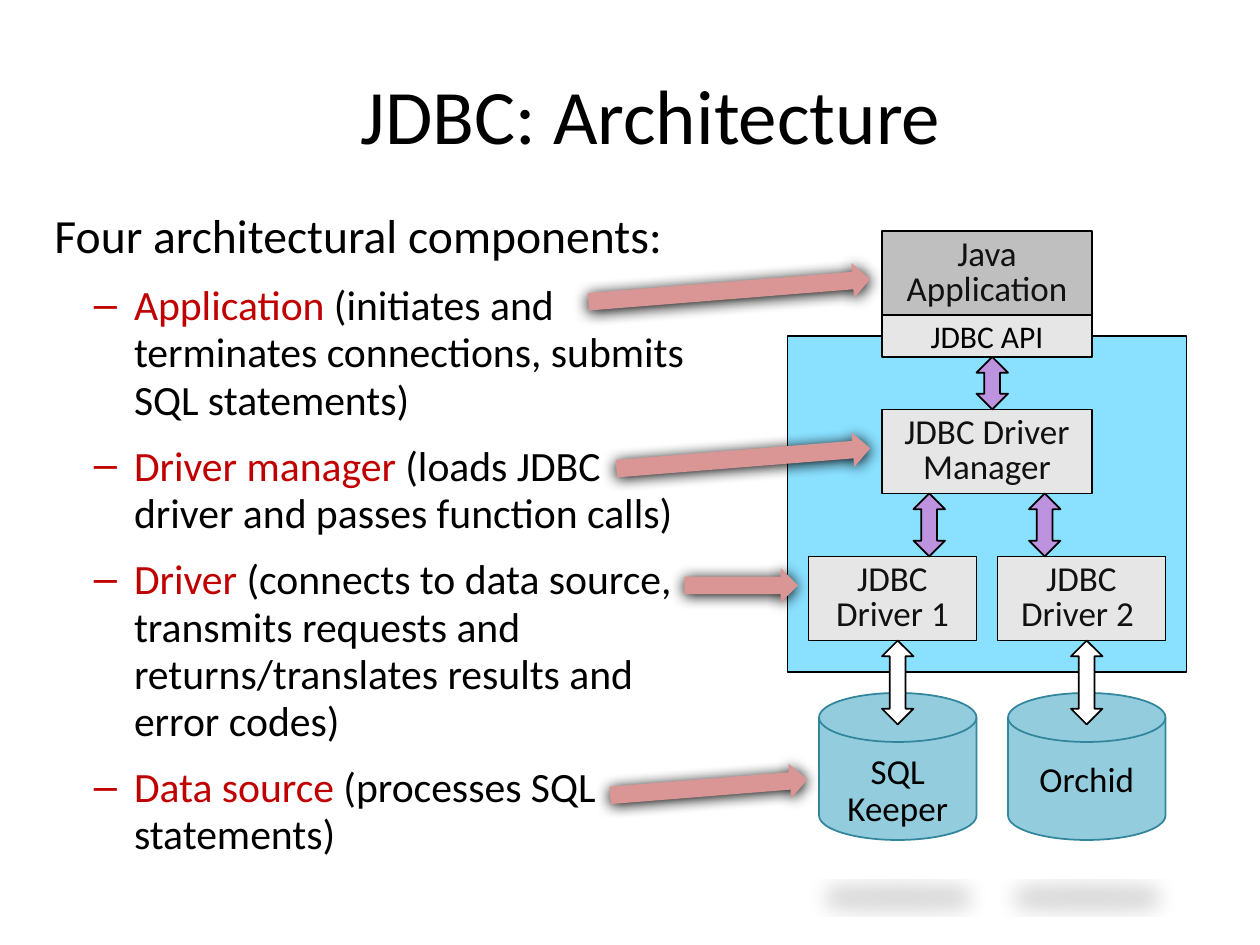
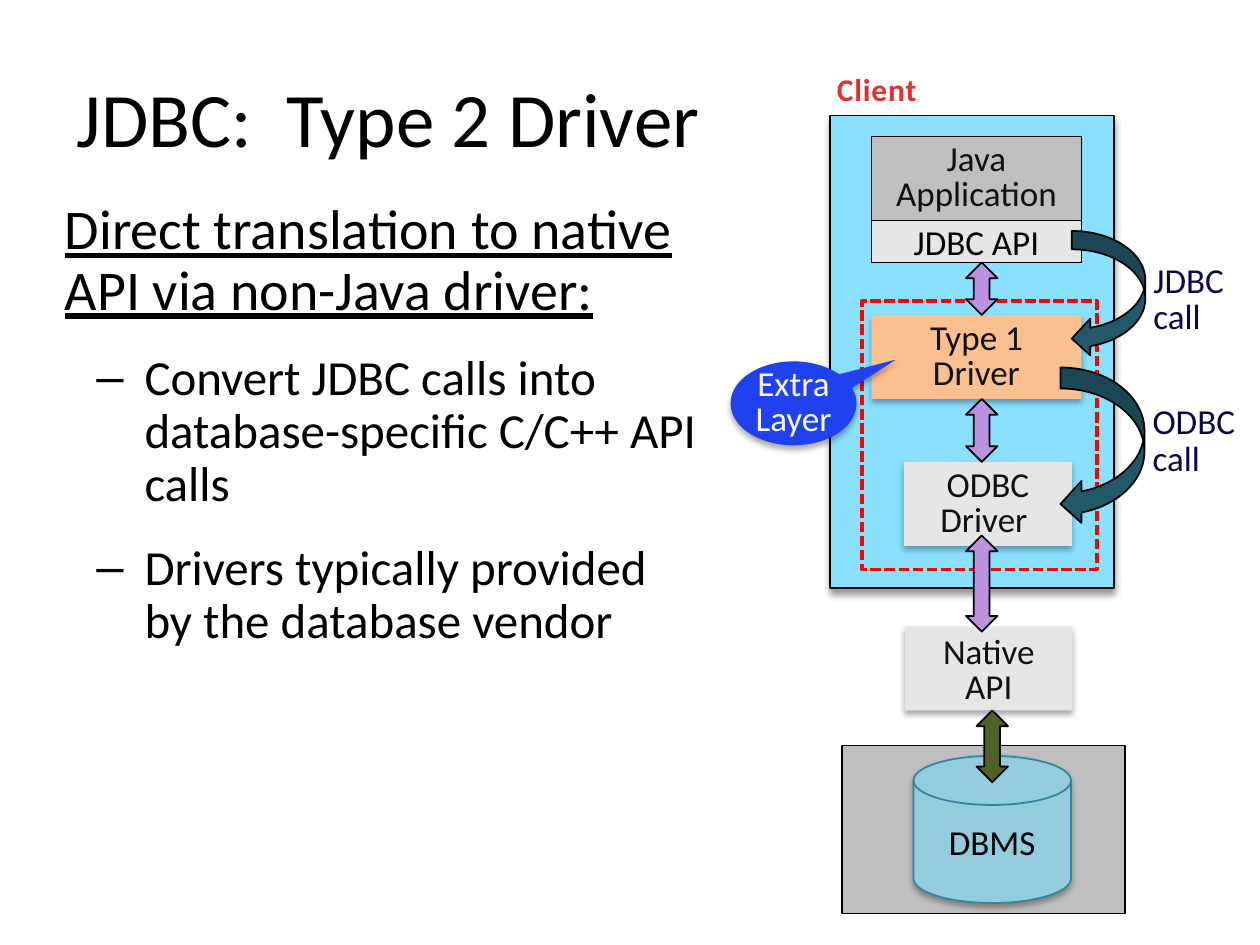
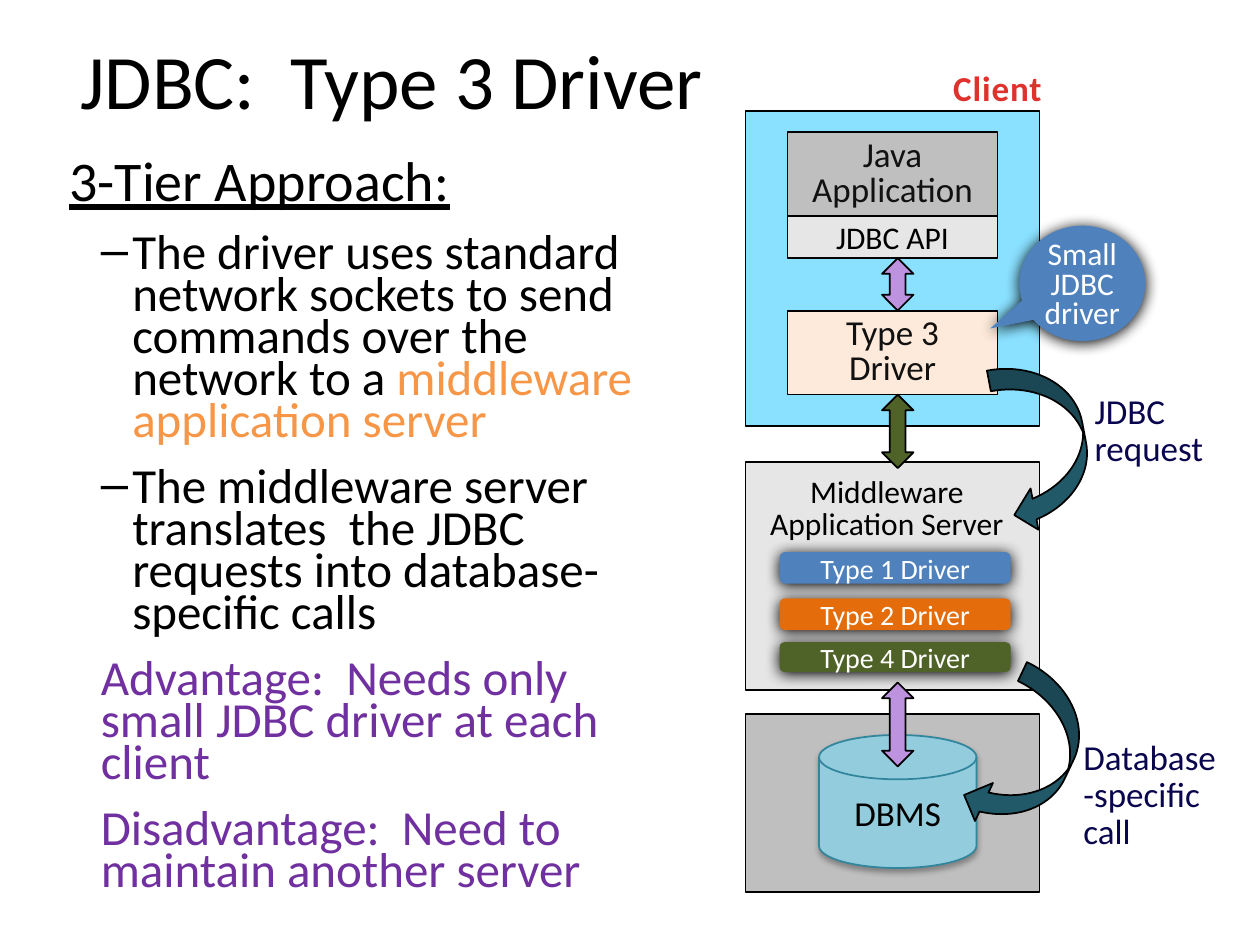
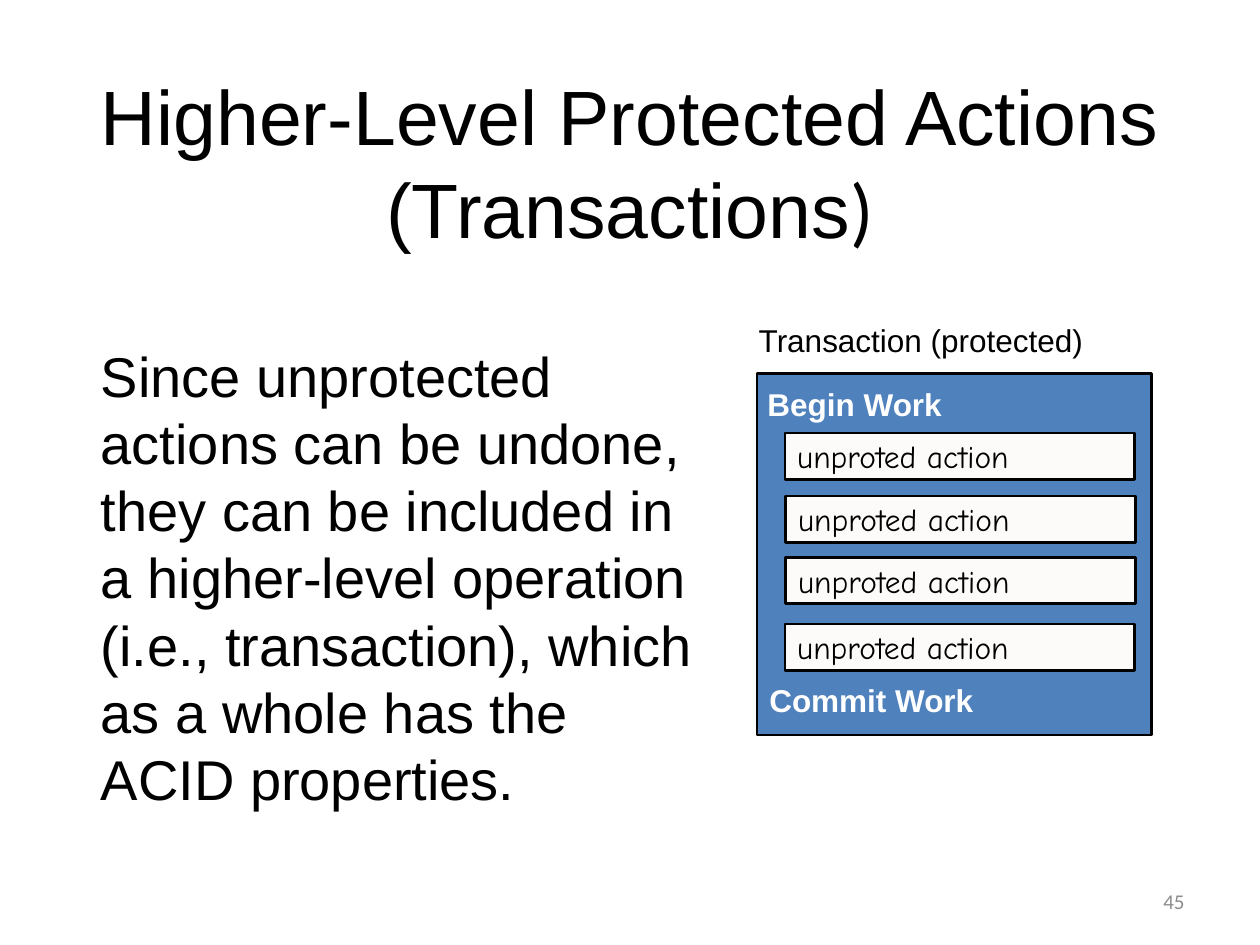
from pptx import Presentation
from pptx.dml.color import RGBColor
from pptx.enum import dml, shapes, text
from pptx.oxml import parse_xml
from pptx.oxml.ns import nsdecls, qn
from pptx.util import Pt

KIND = shapes.MSO_SHAPE
ALIGN = text.PP_ALIGN
ANCHOR = text.MSO_ANCHOR

BLACK, WHITE, INK = "000000", "FFFFFF", "111111"
SKY, SILVER, PALE = "89E0FF", "BFBFBF", "E6E6E6"
LILAC, OLIVE, TEAL = "BD92DE", "4F6228", "215968"
DISK, DISK_EDGE = "93CDDD", "31859C"
ROSE, CRIMSON, CLIENT_RED = "D99694", "C00000", "E0322D"
NAVY, BLUE, ORANGE, PURPLE = "09064E", "4F81BD", "F79646", "7030A0"

# Shadows: opacity in percent, blur and distance in points, extra scaling
SOFT = (32, 3.5, 2.2, {})
PANEL = (40, 4, 3, {})
GLOW = (100, 8.5, 1, {})
FLOOR = (15, 12, 25, {"sx": 90000, "sy": -19000})


def rgb(value):
    return RGBColor.from_string(value)


def place(at):
    return [Pt(length) for length in at]


def cast_shadow(shape, shadow):
    opacity, blur, distance, scaling = shadow
    scale = " ".join(f'{key}="{value}"' for key, value in scaling.items())
    effect = parse_xml(
        f'<a:outerShdw {nsdecls("a")} blurRad="{Pt(blur)}" dist="{Pt(distance)}" '
        f'dir="5400000" {scale} rotWithShape="0"><a:srgbClr val="{BLACK}">'
        f'<a:alpha val="{opacity * 1000}"/></a:srgbClr></a:outerShdw>')
    shape._element.spPr.find(qn("a:effectLst")).append(effect)


def add_figure(slide, kind, at, fill=None, line=BLACK, weight=1, shadow=None, turn=0):
    figure = slide.shapes.add_shape(kind, *place(at))
    figure.shadow.inherit = False
    figure.rotation = turn
    if fill:
        figure.fill.solid()
        figure.fill.fore_color.rgb = rgb(fill)
    else:
        figure.fill.background()
    if line:
        figure.line.color.rgb = rgb(line)
        figure.line.width = Pt(weight)
    else:
        figure.line.fill.background()
    if shadow:
        cast_shadow(figure, shadow)
    return figure


def add_paragraph(frame, runs, size, colour=BLACK, font="Calibri", align=ALIGN.LEFT,
                  leading=None, before=0, after=0, bold=False, underline=False):
    """Write runs, given as a string or as (words, colour) pairs; leading is points or a factor."""
    paragraph = frame.paragraphs[0]
    if paragraph.runs:
        paragraph = frame.add_paragraph()
    paragraph.alignment = align
    paragraph.space_before = Pt(before)
    paragraph.space_after = Pt(after)
    if leading:
        paragraph.line_spacing = Pt(leading) if leading > 3 else leading
    for words, run_colour in [(runs, colour)] if isinstance(runs, str) else runs:
        run = paragraph.add_run()
        run.text = words
        run.font.name = font
        run.font.size = Pt(size)
        run.font.bold = bold
        run.font.underline = underline
        run.font.color.rgb = rgb(run_colour)
    return paragraph


def write_inside(figure, words, size=20, colour=INK, leading=20, align=ALIGN.CENTER,
                 anchor=ANCHOR.MIDDLE, font="Calibri"):
    frame = figure.text_frame
    frame.word_wrap = True
    frame.vertical_anchor = anchor
    add_paragraph(frame, words, size, colour, font, align, leading)
    return frame


def add_frame(slide, at, anchor=ANCHOR.TOP, wrap=True):
    frame = slide.shapes.add_textbox(*place(at)).text_frame
    frame.word_wrap = wrap
    frame.vertical_anchor = anchor
    return frame


def add_label(slide, at, words, size=20, colour=NAVY, wrap=True, **style):
    frame = add_frame(slide, at, wrap=wrap)
    frame.auto_size = text.MSO_AUTO_SIZE.SHAPE_TO_FIT_TEXT
    return add_paragraph(frame, words, size, colour, **style)


def add_title(slide, at, runs, font="Calibri"):
    frame = add_frame(slide, at, ANCHOR.MIDDLE)
    title = add_paragraph(frame, runs, 44, font=font, align=ALIGN.CENTER)
    return title


def add_body_line(frame, runs, size, indent=(0, 0), bullet=False, **style):
    """Add body text with a left margin, a first-line offset and an optional dash."""
    paragraph = add_paragraph(frame, runs, size, before=0.2 * size, **style)
    properties = paragraph._p.get_or_add_pPr()
    margin, offset = indent
    properties.set("marL", str(Pt(margin)))
    properties.set("indent", str(Pt(offset)))
    if bullet:
        properties.append(parse_xml(f'<a:buFont {nsdecls("a")} typeface="Arial"/>'))
        properties.append(parse_xml(f'<a:buChar {nsdecls("a")} char="–"/>'))


def add_box(slide, at, words, fill=PALE, line=BLACK, shadow=None):
    box = add_figure(slide, KIND.RECTANGLE, at, fill, line, shadow=shadow)
    return write_inside(box, words)


def add_application(slide, left, top, api_size=18):
    """Stack the Java application on its JDBC API."""
    add_box(slide, (left, top, 120, 48), "Java Application", SILVER)
    api = add_figure(slide, KIND.RECTANGLE, (left, top + 48, 120, 24), PALE)
    write_inside(api, "JDBC API", api_size, BLACK, leading=None)


def add_database(slide, at, name, shadow=SOFT, leading=None, anchor=ANCHOR.MIDDLE):
    disk = add_figure(slide, KIND.FLOWCHART_MAGNETIC_DISK, at, DISK, DISK_EDGE, shadow=shadow)
    return write_inside(disk, name, colour=BLACK, leading=leading, anchor=anchor)


def add_link(slide, left, top, height, fill=LILAC):
    add_figure(slide, KIND.UP_DOWN_ARROW, (left, top, 18, height), fill)


def add_call(slide, at, turn=0):
    add_figure(slide, KIND.CURVED_LEFT_ARROW, at, TEAL, turn=turn)


def add_callout(slide, at, tip, words, fill, shadow, size, leading, colour=WHITE):
    callout = add_figure(slide, KIND.OVAL_CALLOUT, at, fill, None, shadow=shadow)
    callout.adjustments[0], callout.adjustments[1] = tip
    frame = write_inside(callout, words, size, colour, leading)
    frame.margin_left = frame.margin_right = 0
    return frame


def add_client_heading(slide, at, size):
    heading = add_label(slide, at, "Client", size, CLIENT_RED, wrap=False,
                        align=ALIGN.CENTER, bold=True)
    heading.runs[0].font._element.set("spc", "50")


def build_architecture(slide):
    add_title(slide, (66, 33, 612, 63.5), "JDBC: Architecture")
    body = add_frame(slide, (24, 114, 378, 384))
    add_body_line(body, "Four architectural components:", 27.2, (27, -27), after=6)
    for component, role in (
            ("Application", " (initiates and terminates connections, submits SQL statements)"),
            ("Driver manager ", "(loads JDBC driver and passes function calls)"),
            ("Driver", " (connects to data source, transmits requests and "
                       "returns/translates results and error codes)"),
            ("Data source ", "(processes SQL statements)")):
        add_body_line(body, [(component, CRIMSON), (role, BLACK)], 23.8, (45.5, -23),
                      bullet=True, leading=27, after=6)

    add_figure(slide, KIND.RECTANGLE, (450, 192, 228, 192), SKY)
    add_application(slide, 504, 132)
    add_box(slide, (504, 234, 120, 48), "JDBC Driver Manager")
    add_box(slide, (570, 318, 96, 48), "JDBC Driver 2 ")
    add_box(slide, (462, 318, 96, 48), "JDBC Driver 1")
    store = add_database(slide, (468, 396, 90, 84), "SQL Keeper", FLOOR, 21, ANCHOR.TOP)
    store.margin_top = Pt(7.2)
    add_database(slide, (576, 396, 90, 84), "Orchid", FLOOR)
    for left, top, height, fill in ((588, 282, 36, LILAC), (522, 282, 36, LILAC),
                                    (558, 204, 30, LILAC), (504, 366, 48, WHITE),
                                    (612, 366, 48, WHITE)):
        add_link(slide, left, top, height, fill)
    for left, top, width, turn in ((336, 156, 161.5, 355.4), (352, 252, 145.5, 355.4),
                                   (391, 324.5, 65, 0), (348.5, 440, 113, 355.4)):
        add_figure(slide, KIND.RIGHT_ARROW, (left, top, width, 20), ROSE, None,
                   shadow=GLOW, turn=turn)


def build_type_2(slide):
    add_title(slide, (36, 21.5, 372, 90), "JDBC:  Type 2 Driver")
    body = add_frame(slide, (30, 111.5, 378, 398))
    add_body_line(body, "Direct translation to native API via non-Java driver:", 32,
                  leading=0.9, after=12, underline=True)
    for point in ("Convert JDBC calls into database-specific C/C++ API calls",
                  "Drivers typically provided by the database vendor"):
        add_body_line(body, point, 28, (45.5, -27.5), bullet=True, leading=0.9, after=12)

    add_figure(slide, KIND.RECTANGLE, (481, 426, 162, 96), SILVER)
    add_figure(slide, KIND.RECTANGLE, (474.5, 66, 162, 270), SKY, shadow=PANEL)
    add_application(slide, 498, 78, 20)
    add_box(slide, (498, 180, 120, 48), "Type 1 Driver", "FAC090", None, SOFT)
    add_database(slide, (522, 432, 90, 84), "DBMS")
    add_client_heading(slide, (468.5, 36.5, 65, 29), 18)
    add_label(slide, (652, 147, 59, 49.5), "JDBC call", leading=21)
    add_box(slide, (516.5, 264, 96, 48), "ODBC Driver ", PALE, None, SOFT)
    add_link(slide, 552, 228, 36)
    add_label(slide, (651.5, 228, 62.5, 49.5), "ODBC call", leading=21)
    extra = add_figure(slide, KIND.RECTANGLE, (492.5, 172, 134.5, 153.5), line="FF0000", weight=2)
    extra.line.dash_style = dml.MSO_LINE.SQUARE_DOT
    add_callout(slide, (417.5, 206.5, 72, 48), (0.81, -0.52), "Extra Layer",
                "2042EE", SOFT, 20, 20, "F8F8F8")
    add_call(slide, (606, 210, 48, 90))
    add_call(slide, (612.5, 132, 42, 72))
    add_link(slide, 552, 150, 30)
    native = add_box(slide, (517, 358, 96, 48), "Native API", PALE, None, SOFT)
    native.margin_top = Pt(7.2)
    add_link(slide, 558, 406, 41, OLIVE)
    add_link(slide, 552, 306, 55)


def build_type_3(slide):
    add_figure(slide, KIND.RECTANGLE, (426, 408, 168, 102), SILVER)
    add_title(slide, (29, 12, 390, 66), "JDBC:  Type 3 Driver")
    body = add_frame(slide, (32.5, 84, 362, 438))
    add_body_line(body, "3-Tier Approach:", 32, (27, -27), leading=0.9, after=8, underline=True)
    for point in (
            [("The driver uses standard network sockets to send commands "
              "over the network to a ", BLACK), ("middleware application server", ORANGE)],
            "The middleware server translates  the JDBC requests into database-specific calls"):
        add_body_line(body, point, 28, (36, -18), bullet=True, leading=24, after=8)
    for verdict in ("Advantage:  Needs only small JDBC driver at each client",
                    "Disadvantage:  Need to maintain another server"):
        add_body_line(body, verdict, 28, (18, 0), colour=PURPLE, leading=24, after=8)

    add_figure(slide, KIND.RECTANGLE, (426, 63.5, 168, 180), SKY)
    add_application(slide, 450, 75.5)
    add_box(slide, (450, 177.5, 120, 48), "Type 3 Driver", "FDEADA")
    add_figure(slide, KIND.RECTANGLE, (426, 264, 168, 130.5), PALE)
    add_database(slide, (468, 420, 90, 76), "DBMS")
    add_link(slide, 504, 147.5, 30)
    add_link(slide, 504, 390, 48)
    add_client_heading(slide, (537, 34.5, 66, 31.5), 20)
    add_call(slide, (572.5, 206.5, 48, 96), 349.3)
    add_call(slide, (564, 384, 48, 96), 25.3)
    add_label(slide, (618.5, 222, 78, 49.5), "JDBC request", leading=21)
    add_label(slide, (612, 420, 96, 70.5), "Database-specific call", leading=21)
    small_driver = add_callout(slide, (582.5, 129, 72, 66), (-0.73, 0.39), "Small JDBC driver",
                               BLUE, GLOW, 18, 17)
    small_driver.margin_bottom = 0
    add_link(slide, 504, 225.5, 42, OLIVE)
    add_label(slide, (420, 270, 173.5, 44), "Middleware Application Server", 18, BLACK,
              align=ALIGN.CENTER, leading=18)
    for number, top, height, fill in ((1, 315.5, 18, BLUE), (2, 342, 18, "E46C0A"),
                                      (4, 367, 17, OLIVE)):
        driver = add_figure(slide, KIND.ROUNDED_RECTANGLE, (445.5, top, 132, height),
                            fill, None, shadow=GLOW)
        write_inside(driver, f"Type {number} Driver", 16, WHITE, leading=None)


def build_transactions(slide):
    number = add_frame(slide, (516, 500.5, 168, 29), ANCHOR.MIDDLE)
    add_paragraph(number, "45", 12, "8C8C8C", align=ALIGN.RIGHT)
    title = add_title(slide, (0, 30, 720, 124.5),
                      [("Higher-Level Protected Actions (Transactions", BLACK), (")", BLACK)],
                      "Arial")
    title.runs[1].font.name = "Calibri"
    body = add_frame(slide, (50.5, 191.5, 355.5, 281.5))
    add_body_line(body, "Since unprotected actions can be undone, they can be included in a "
                  "higher-level operation (i.e., transaction), which as a whole has the "
                  "ACID properties.", 32, font="Arial")

    add_figure(slide, KIND.RECTANGLE, (432.5, 213.5, 225.5, 206.5), BLUE, weight=1.5)
    for left, top in ((448.5, 247.5), (449, 283.5), (449, 318.5), (448.5, 356.5)):
        action = add_figure(slide, KIND.RECTANGLE, (left, top, 200, 26.5), "FCFBF9", weight=1.5)
        write_inside(action, "unproted action", 18, BLACK, None, ALIGN.LEFT, font="Comic Neue")
    add_label(slide, (426.5, 180, 201.5, 29), "Transaction (protected)", 18, BLACK, font="Arial")
    for words, left, top, width in (("Begin Work", 431.5, 216.5, 122),
                                    ("Commit Work", 432.5, 385.5, 143)):
        add_label(slide, (left, top, width, 29), words, 18, WHITE, font="Arial", bold=True)


def main():
    deck = Presentation()
    deck.slide_width, deck.slide_height = Pt(720), Pt(540)
    blank = deck.slide_layouts[6]
    for build in (build_architecture, build_type_2, build_type_3, build_transactions):
        build(deck.slides.add_slide(blank))
    deck.save("out.pptx")


if __name__ == "__main__":
    main()
